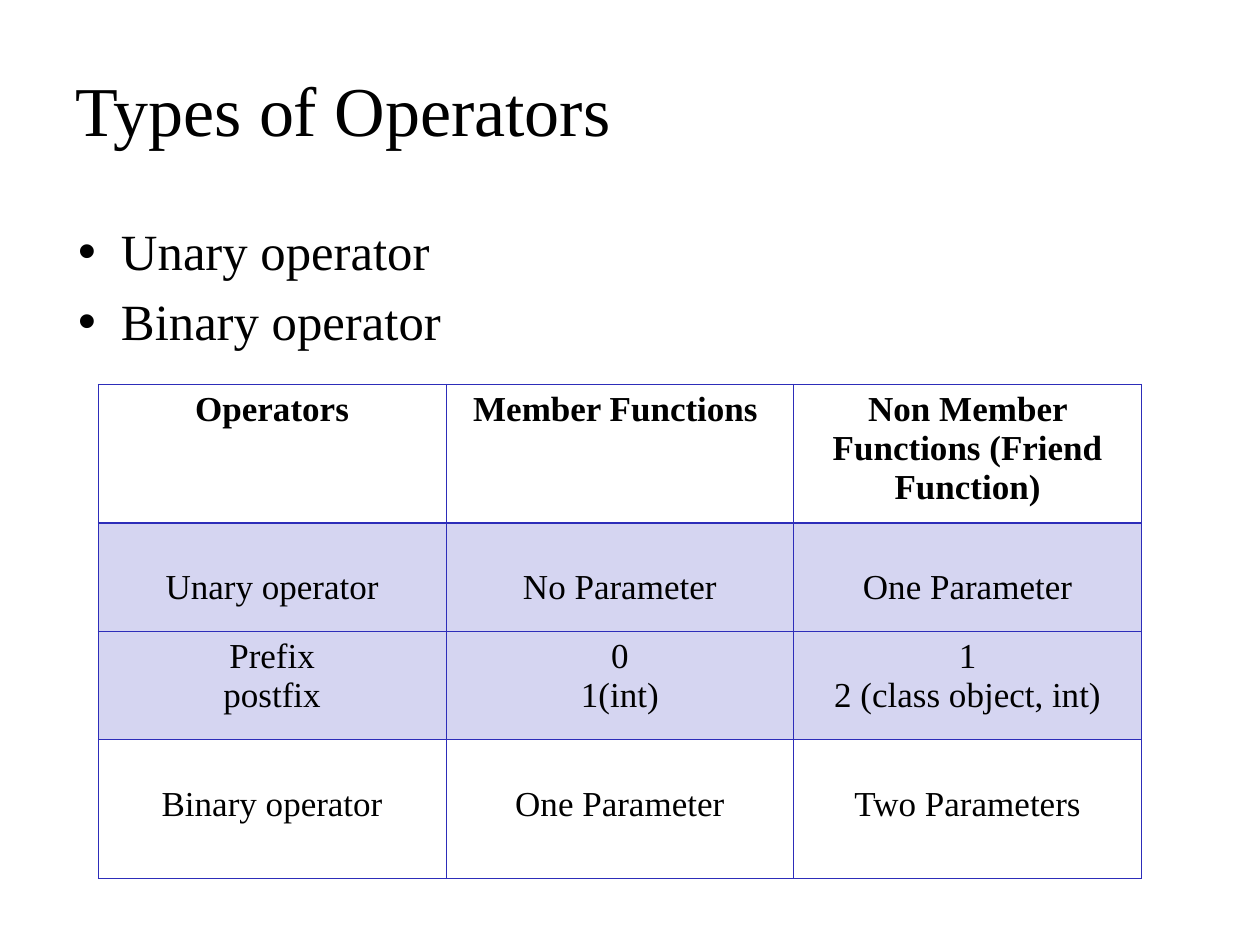
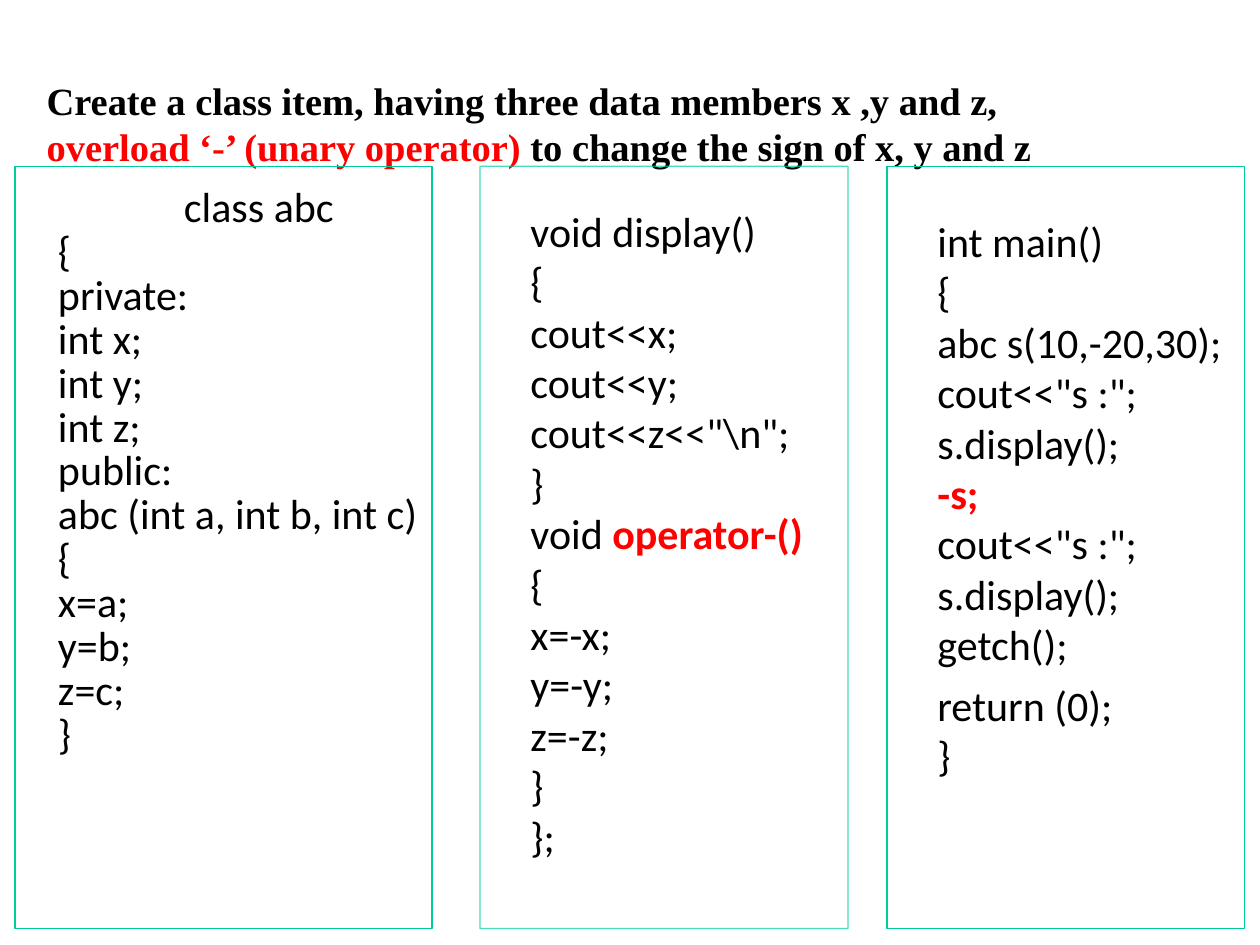
from lxml.etree import SubElement
from pptx import Presentation
from pptx.dml.color import RGBColor
from pptx.enum.shapes import MSO_SHAPE
from pptx.enum.text import MSO_ANCHOR, MSO_AUTO_SIZE, PP_ALIGN
from pptx.oxml.ns import qn
from pptx.util import Inches, Pt

COLORS = {"text": "000000", "accent": "FF0000", "grid": "2D2DB9", "panel": "00CC99"}
SERIF = "Times New Roman"


def write_text(paragraph, text, font_name, size, bold=False):
    paragraph.font.name = font_name
    paragraph.font.size = Pt(size)
    paragraph.font.bold = bold
    paragraph.font.color.rgb = RGBColor.from_string(COLORS["text"])
    for position, part in enumerate(text.split("|")):
        if part:
            run = paragraph.add_run()
            run.text = part
            if position % 2:
                run.font.bold = True
                run.font.color.rgb = RGBColor.from_string(COLORS["accent"])


def set_opacity(element, percent):
    for color in element.iter(qn("a:srgbClr")):
        SubElement(color, qn("a:alpha"), val=str(percent * 1000))


presentation = Presentation()
presentation.slide_width = Inches(10)
presentation.slide_height = Inches(7.5)

slide_titles = [
    (1, "Types of Operators", 40, False, (0.5, 0.3, 8.86, 1.12), PP_ALIGN.JUSTIFY),
    (5, "Create a class item, having three data members x ,y and z, "
        "|overload ‘-’ (unary operator) |to change the sign of x, y and z",
     22, True, (0.27, 0.56, 8.91, 0.84), PP_ALIGN.LEFT),
]
for layout, text, size, bold, box, alignment in slide_titles:
    slide = presentation.slides.add_slide(presentation.slide_layouts[layout])
    title = slide.shapes.title
    title.left, title.top, title.width, title.height = [Inches(length) for length in box]
    title.text_frame.auto_size = MSO_AUTO_SIZE.NONE
    title.text_frame.vertical_anchor = MSO_ANCHOR.MIDDLE
    paragraph = title.text_frame.paragraphs[0]
    paragraph.alignment = alignment
    write_text(paragraph, text, SERIF, size, bold)

operators_slide, code_slide = presentation.slides

body = operators_slide.placeholders[1]
body.left, body.top, body.width, body.height = Inches(0.62), Inches(1.64), Inches(8.73), Inches(1.25)
frame = body.text_frame
frame.auto_size = MSO_AUTO_SIZE.NONE
frame.margin_left = frame.margin_right = frame.margin_bottom = 0
frame.margin_top = Inches(0.17)
for index, text in enumerate(["Unary operator", "Binary operator"]):
    paragraph = frame.add_paragraph() if index else frame.paragraphs[0]
    paragraph.alignment = PP_ALIGN.JUSTIFY
    paragraph.line_spacing = 0.87
    paragraph.space_before = paragraph.space_after = Pt(5)
    properties = paragraph._p.get_or_add_pPr()
    properties.set("marL", str(Inches(0.34)))
    properties.set("indent", str(Inches(-0.34)))
    write_text(paragraph, text, SERIF, 29)

operator_rows = [
    (1.1, 0.05, False, ["Operators", "Member Functions ", "Non Member Functions (Friend Function)"]),
    (0.86, 0.36, True, ["Unary operator", "No Parameter", "One Parameter"]),
    (0.86, 0.05, True, ["Prefix\npostfix", "0\n1(int)", "1\n2 (class object, int)"]),
    (1.1, 0.36, False, ["Binary operator", "One Parameter", "Two Parameters"]),
]
table = operators_slide.shapes.add_table(
    4, 3, Inches(0.78), Inches(3.05), Inches(8.28), Inches(3.92)).table
table.first_row = False
table.horz_banding = False
for row_index, (height, top_margin, shaded, texts) in enumerate(operator_rows):
    table.rows[row_index].height = Inches(height)
    for column_index, text in enumerate(texts):
        cell = table.cell(row_index, column_index)
        cell.margin_left = cell.margin_right = Inches(0.1)
        cell.margin_top = Inches(top_margin)
        cell.margin_bottom = Inches(0.05)
        properties = cell._tc.get_or_add_tcPr()
        if shaded:
            cell.fill.solid()
            cell.fill.fore_color.rgb = RGBColor.from_string(COLORS["grid"])
            set_opacity(properties, 20)
        else:
            cell.fill.background()
        for position, side in enumerate(["lnL", "lnR", "lnT", "lnB"]):
            header_edge = (row_index, side) in [(0, "lnB"), (1, "lnT")]
            border = SubElement(properties, qn(f"a:{side}"), w=str(Pt(0.96 if header_edge else 0.45)))
            SubElement(SubElement(border, qn("a:solidFill")), qn("a:srgbClr"), val=COLORS["grid"])
            properties.insert(position, border)
        for line_index, line in enumerate(text.split("\n")):
            frame = cell.text_frame
            paragraph = frame.add_paragraph() if line_index else frame.paragraphs[0]
            paragraph.alignment = PP_ALIGN.CENTER
            write_text(paragraph, line, SERIF, 20, row_index == 0)

class_code = """class abc
{
private:
int x;
int y;
int z;
public:
abc (int a, int b, int c)
{
x=a;
y=b;
z=c;
}"""
member_code = r"""void display()
{
cout<<x;
cout<<y;
cout<<z<<"\n";
}
void |operator-()|
{
x=-x;
y=-y;
z=-z;
}
};"""
main_code = """int main()
{
abc s(10,-20,30);
cout<<"s :";
s.display();
|-s;|
cout<<"s :";
s.display();
getch();
return (0);
}"""
code_panels = [
    (0.12, 3.31, 0.34, 0, 0.17, 0.87, 100, class_code),
    (3.81, 2.92, 0.4, 0.1, 0.31, 1.0, 69, member_code),
    (7.04, 2.84, 0.4, 0.1, 0.39, 1.0, 100, main_code),
]
for left, width, left_margin, right_margin, top_margin, spacing, opacity, code in code_panels:
    panel = code_slide.shapes.add_shape(
        MSO_SHAPE.RECTANGLE, Inches(left), Inches(1.32), Inches(width), Inches(6.05))
    panel.shadow.inherit = False
    panel.fill.background()
    panel.line.color.rgb = RGBColor.from_string(COLORS["panel"])
    panel.line.width = Pt(0.75)
    if opacity < 100:
        set_opacity(panel.line._get_or_add_ln(), opacity)
    frame = panel.text_frame
    frame.word_wrap = True
    frame.vertical_anchor = MSO_ANCHOR.TOP
    frame.margin_left, frame.margin_right = Inches(left_margin), Inches(right_margin)
    frame.margin_top, frame.margin_bottom = Inches(top_margin), 0
    for index, line in enumerate(code.split("\n")):
        paragraph = frame.add_paragraph() if index else frame.paragraphs[0]
        paragraph.alignment = PP_ALIGN.LEFT
        paragraph.line_spacing = spacing
        if line.startswith("return"):
            paragraph.space_before = Pt(5.8)
        if line.startswith("class"):
            paragraph._p.get_or_add_pPr().set("marL", str(Inches(1)))
        write_text(paragraph, line, "Calibri", 24)

presentation.save("out.pptx")
